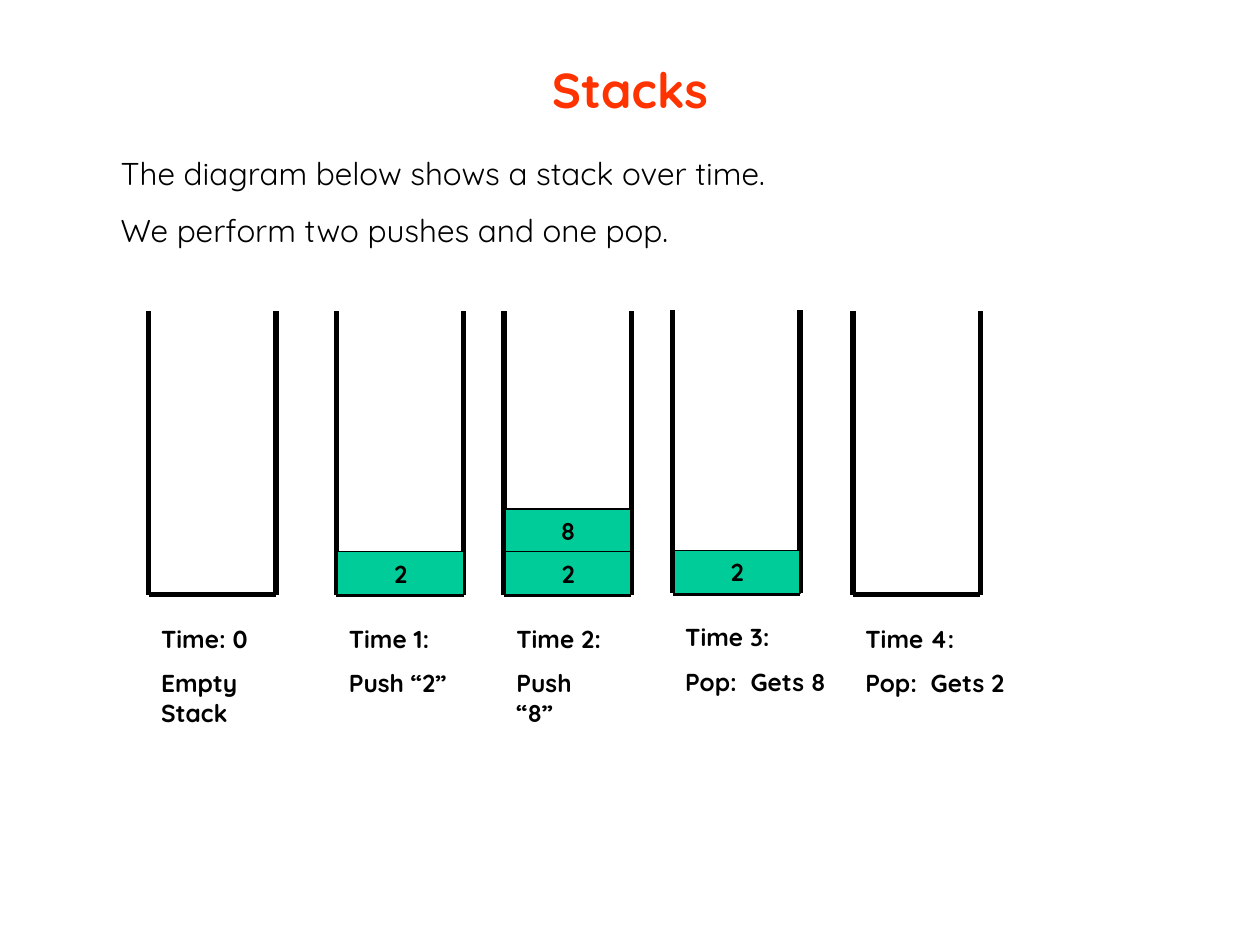
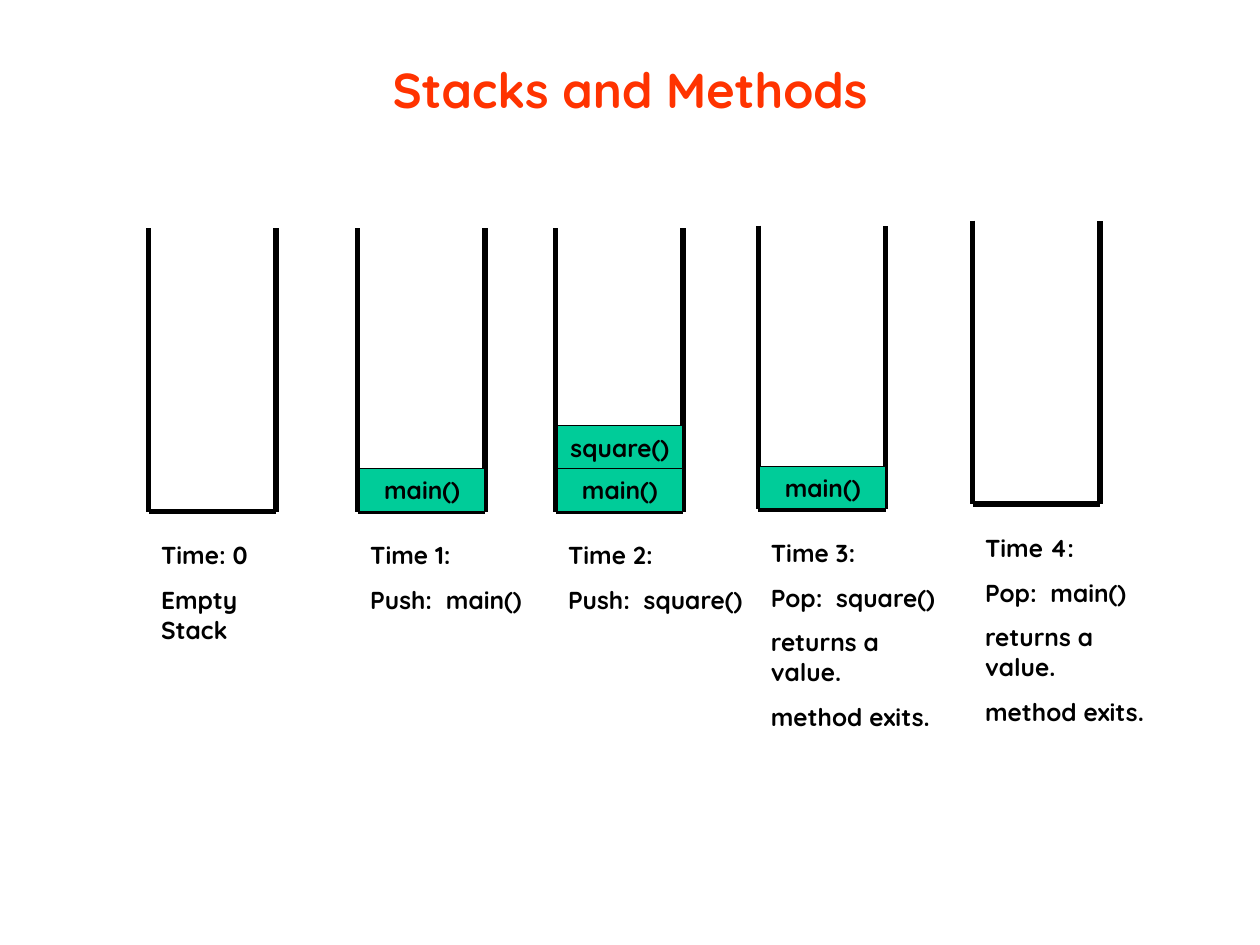
from dataclasses import dataclass

from lxml import etree
from pptx import Presentation
from pptx.dml.color import RGBColor
from pptx.enum.shapes import MSO_CONNECTOR, MSO_SHAPE
from pptx.enum.text import MSO_ANCHOR, MSO_AUTO_SIZE, PP_ALIGN
from pptx.oxml.ns import qn
from pptx.util import Inches, Pt

# Shared look
FONT = "Quicksand"
RED = RGBColor(0xFF, 0x33, 0x00)
GREEN = RGBColor(0x00, 0xCC, 0x99)
BLACK = RGBColor(0x00, 0x00, 0x00)
STRAIGHT = MSO_CONNECTOR.STRAIGHT
RECTANGLE = MSO_SHAPE.RECTANGLE
MIDDLE, TOP = MSO_ANCHOR.MIDDLE, MSO_ANCHOR.TOP
CENTER, LEFT = PP_ALIGN.CENTER, PP_ALIGN.LEFT
NO_AUTOSIZE = MSO_AUTO_SIZE.NONE

# Page grid: ten columns by seven and a half rows, each one inch
COLUMNS, ROWS = 10, 7.5
TITLE_ONLY = 5

# Stack geometry in grid units
STACK_WIDTH, STACK_HEIGHT = 1.01, 2.25
ITEM_WIDTH, ITEM_HEIGHT = 1, 0.34
LABEL_GAP = 0.18


@dataclass
class Stage:
    """One moment of a stack: its place, its items from the bottom up, its label."""
    left: float
    base: float
    items: list
    label_width: float
    label: list


def grid(*units):
    return [Inches(unit) for unit in units]


def write(shape, lines, size, color=BLACK, bold=True, align=LEFT,
          anchor=TOP, wrap=True, gap=0):
    frame = shape.text_frame
    frame.text = "\n".join(lines)
    frame.word_wrap = wrap
    frame.auto_size = NO_AUTOSIZE
    frame.vertical_anchor = anchor
    for number, para in enumerate(frame.paragraphs):
        para.alignment = align
        para.space_before = Pt(gap if number else 0)
        for span in para.runs:
            span.font.name = FONT
            span.font.size = Pt(size)
            span.font.bold = bold
            span.font.color.rgb = color


def add_page(deck, title):
    page = deck.slides.add_slide(deck.slide_layouts[TITLE_ONLY])
    heading = page.shapes.title
    heading.left, heading.top, heading.width, heading.height = grid(0.75, 0.08, 8.5, 1.25)
    write(heading, [title], 28, RED, align=CENTER, anchor=MIDDLE)
    return page


def add_text(page, left, top, width, height, lines, size, **style):
    box = page.shapes.add_textbox(*grid(left, top, width, height))
    write(box, lines, size, **style)


def add_wall(page, start, end):
    wall = page.shapes.add_connector(STRAIGHT, *grid(*start, *end))
    wall.line.color.rgb = BLACK
    wall.line.width = Pt(3)
    etree.SubElement(wall._element.spPr, qn("a:effectLst"))


def add_item(page, left, top, text):
    item = page.shapes.add_shape(RECTANGLE, *grid(left, top, ITEM_WIDTH, ITEM_HEIGHT))
    item.shadow.inherit = False
    item.fill.solid()
    item.fill.fore_color.rgb = GREEN
    item.line.color.rgb = BLACK
    item.line.width = Pt(0.75)
    write(item, [text], 14, align=CENTER, anchor=MIDDLE, wrap=False)


def add_stage(page, stage):
    # Open-topped container
    right, rim = stage.left + STACK_WIDTH, stage.base - STACK_HEIGHT
    corners = [(stage.left, rim), (stage.left, stage.base),
               (right, stage.base), (right, rim)]
    for start, end in zip(corners, corners[1:]):
        add_wall(page, start, end)

    # Label underneath
    height = 0.69 if len(stage.label) == 2 else 1.4
    add_text(page, stage.left, stage.base + LABEL_GAP, stage.label_width, height,
             stage.label, 14, gap=8.8)

    # Items, bottom first
    for level, text in enumerate(stage.items, start=1):
        add_item(page, stage.left + 0.01, stage.base - level * ITEM_HEIGHT, text)


def main():
    deck = Presentation()
    deck.slide_width, deck.slide_height = grid(COLUMNS, ROWS)
    empty = ["Time: 0", "Empty Stack"]
    ending = ["returns a value.", "method exits."]

    # Numbers on a stack
    numbers = add_page(deck, "Stacks")
    add_text(numbers, 0.86, 1.17, 5.71, 0.86,
             ["The diagram below shows a stack over time.",
              "We perform two pushes and one pop."], 18, bold=False, gap=11.2)
    for stage in (
        Stage(1.18, 4.72, [], 1.3, empty),
        Stage(2.67, 4.72, ["2"], 1.05, ["Time 1:", "Push “2”"]),
        Stage(4, 4.72, ["2", "8"], 0.94, ["Time 2:", "Push “8”"]),
        Stage(5.34, 4.71, ["2"], 1.4, ["Time 3:", "Pop:  Gets 8"]),
        Stage(6.77, 4.72, [], 1.4, ["Time 4:", "Pop:  Gets 2"]),
    ):
        add_stage(numbers, stage)

    # Method calls on a stack
    methods = add_page(deck, "Stacks and Methods")
    for stage in (
        Stage(1.18, 4.06, [], 1.3, empty),
        Stage(2.84, 4.06, ["main()"], 1.5, ["Time 1:", "Push:  main()"]),
        Stage(4.41, 4.06, ["main()", "square()"], 1.65, ["Time 2:", "Push:  square()"]),
        Stage(6.02, 4.04, ["main()"], 1.6, ["Time 3:", "Pop:  square()", *ending]),
        Stage(7.72, 4, [], 1.6, ["Time 4:", "Pop:  main()", *ending]),
    ):
        add_stage(methods, stage)

    deck.save("out.pptx")


if __name__ == "__main__":
    main()
